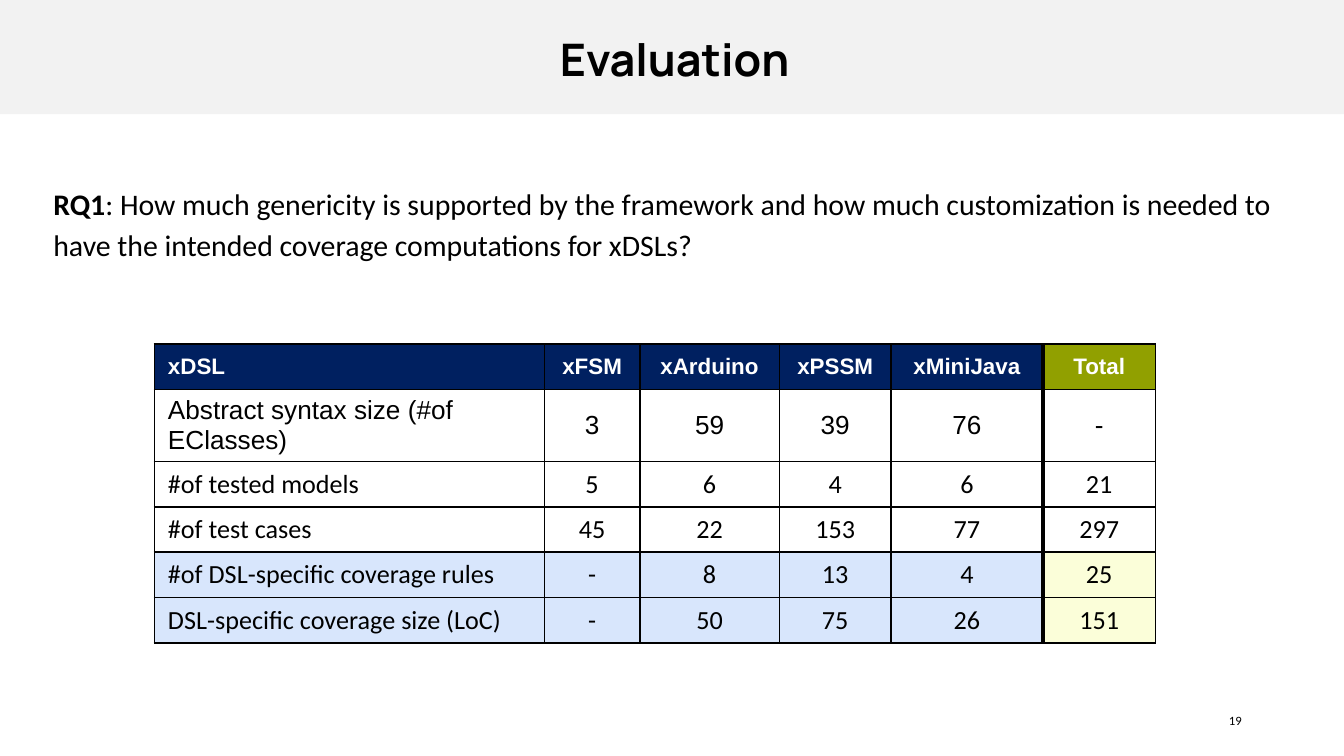
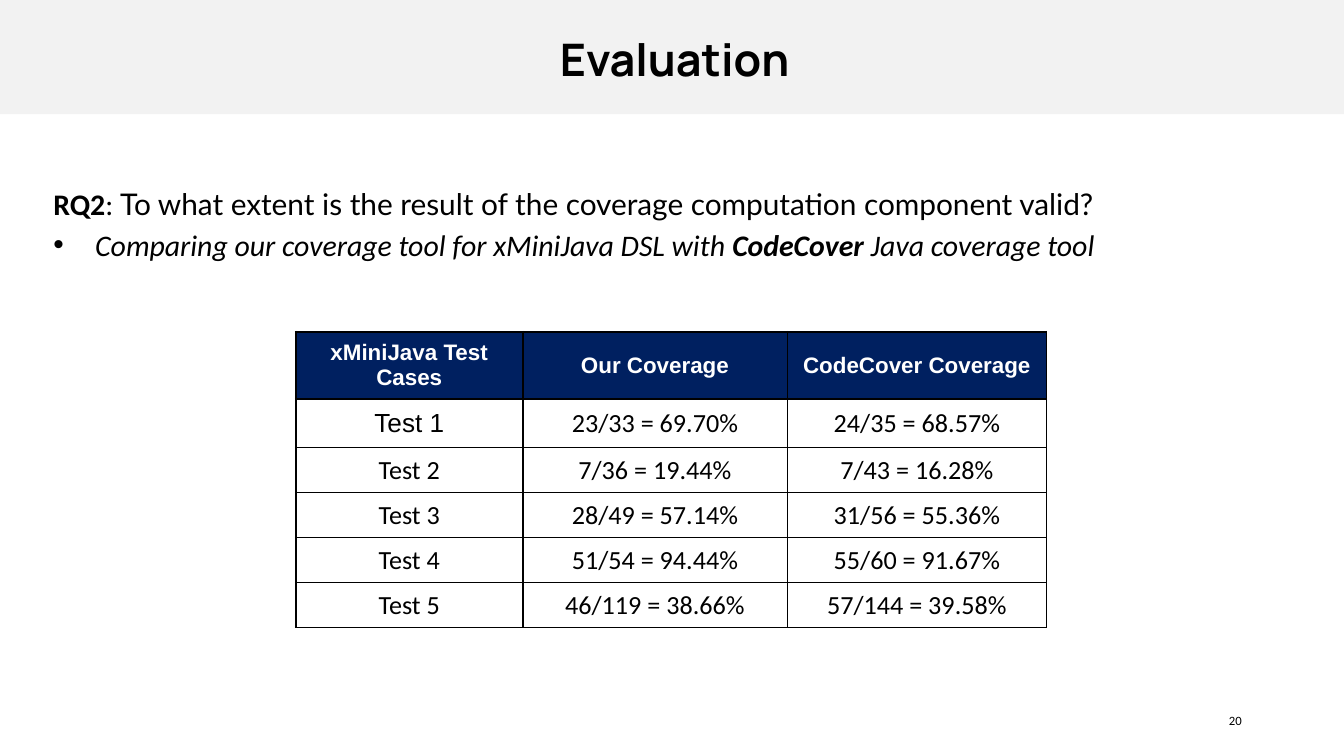
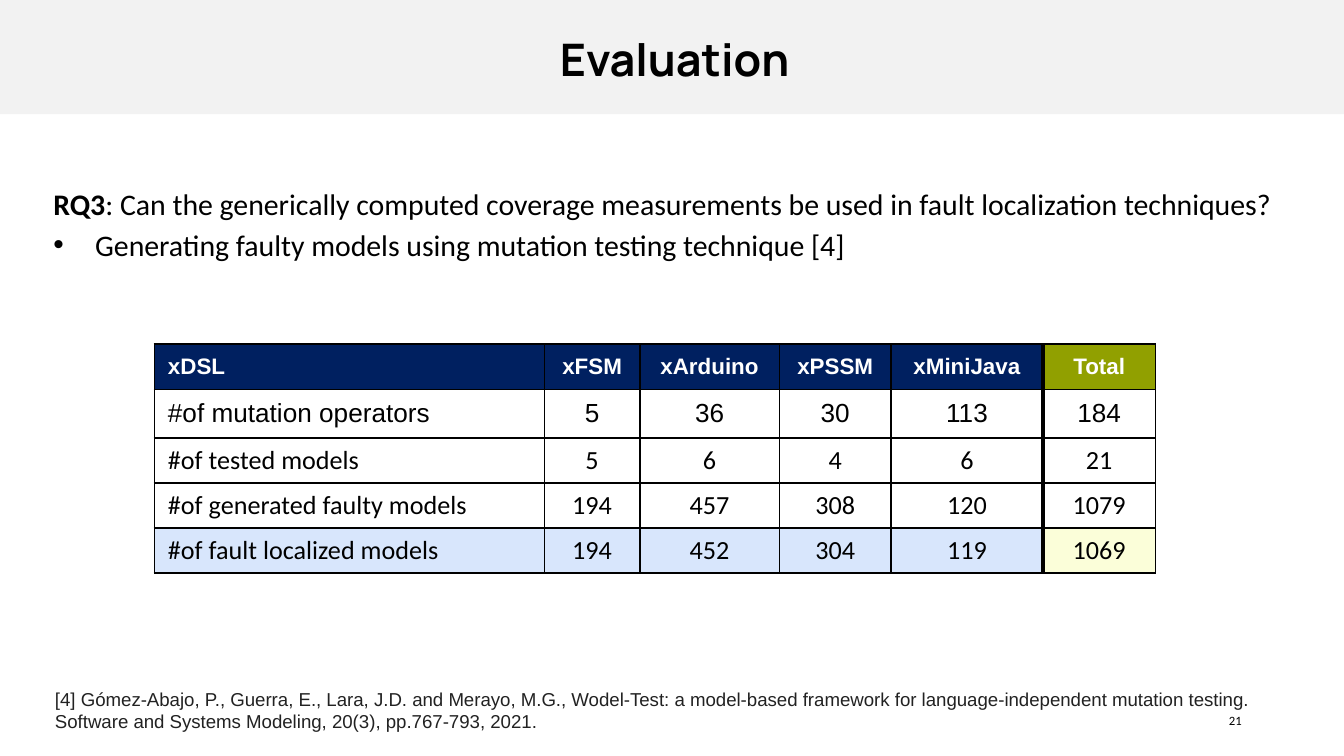
import pptx
import pptx.util
import pptx.dml.color
import pptx.enum.shapes
import pptx.enum.text
import pptx.oxml
import pptx.oxml.ns

Cm = pptx.util.Cm
Pt = pptx.util.Pt
ALIGN = pptx.enum.text.PP_ALIGN
MID = pptx.enum.text.MSO_ANCHOR.MIDDLE
TOP = pptx.enum.text.MSO_ANCHOR.TOP

HEX = {
    "black": "000000", "white": "FFFFFF", "band": "F2F2F2", "navy": "002060",
    "olive": "91A000", "sky": "D8E6FC", "cream": "FBFED9", "ink": "222222",
}
BOLD = {"bold": True}
ITAL = {"italic": True}
TIGHT = (0.18, 0.1)
LOOSE = (0.25, 0.25)

DSLS = ["xDSL", "xFSM", "xArduino", "xPSSM", "xMiniJava", "Total"]
WIDE = {"left": 2.92, "top": 6.5, "cols": [7.37, 1.8, 2.64, 2.11, 2.87, 2.13],
        "total": True, "tint": "sky", "arial": 6}
SMALL = {"left": 5.59, "top": 6.27, "cols": [4.29, 5, 4.9],
         "total": False, "tint": "white", "arial": 1}

SLIDES = [
    {
        "ask": [[("RQ1", BOLD), (": How much genericity is supported by the framework and how much "
                                 "customization is needed to have the intended coverage "
                                 "computations for xDSLs?", {})]],
        "grid": WIDE, "tinted": 2,
        "rows": [
            DSLS,
            ["Abstract syntax size (#of EClasses)", "3", "59", "39", "76", "-"],
            ["#of tested models", "5", "6", "4", "6", "21"],
            ["#of test cases", "45", "22", "153", "77", "297"],
            ["#of DSL-specific coverage rules", "-", "8", "13", "4", "25"],
            ["DSL-specific coverage size (LoC)", "-", "50", "75", "26", "151"],
        ],
    },
    {
        "ask": [
            [("RQ2", BOLD), (": ", {}),
             ("To what extent is the result of the coverage computation component valid?",
              {"name": "Lato"})],
            [("Comparing our coverage tool for xMiniJava DSL with ", ITAL),
             ("CodeCover", BOLD | ITAL), (" Java coverage tool", ITAL)],
        ],
        "grid": SMALL, "tinted": 2,
        "rows": [
            ["xMiniJava Test Cases", "Our Coverage", "CodeCover Coverage"],
            ["Test 1", "23/33 = 69.70%", "24/35 = 68.57%"],
            ["Test 2", "7/36 = 19.44%", "7/43 = 16.28%"],
            ["Test 3", "28/49 = 57.14%", "31/56 = 55.36%"],
            ["Test 4", "51/54 = 94.44%", "55/60 = 91.67%"],
            ["Test 5", "46/119 = 38.66%", "57/144 = 39.58%"],
        ],
    },
    {
        "ask": [
            [("RQ3", BOLD), (": Can the generically computed coverage measurements be used in "
                             "fault localization techniques?", {})],
            [("Generating faulty models using mutation testing technique [4]", {})],
        ],
        "grid": WIDE, "tinted": 1,
        "rows": [
            DSLS,
            ["#of mutation operators", "5", "36", "30", "113", "184"],
            ["#of tested models", "5", "6", "4", "6", "21"],
            ["#of generated faulty models", "194", "457", "308", "120", "1079"],
            ["#of fault localized models", "194", "452", "304", "119", "1069"],
        ],
        "cite": "[4] Gómez-Abajo, P., Guerra, E., Lara, J.D. and Merayo, M.G., Wodel-Test: "
                "a model-based framework for language-independent mutation testing. "
                "Software and Systems Modeling, 20(3), pp.767-793, 2021.",
    },
]


def rgb(key):
    return pptx.dml.color.RGBColor.from_string(HEX[key])


def style(para, face, size, color="black", bold=False, align=ALIGN.LEFT):
    para.alignment = align
    font = para.font
    font.name, font.size, font.bold = face, Pt(size), bold
    font.color.rgb = rgb(color)


def frame(slide, at, pad, anchor=TOP, grow=False):
    text = slide.shapes.add_textbox(*map(Cm, at)).text_frame
    text.word_wrap = True
    text.vertical_anchor = anchor
    text.margin_left = text.margin_right = Cm(pad[0])
    text.margin_top = text.margin_bottom = Cm(pad[1])
    fit = pptx.enum.text.MSO_AUTO_SIZE
    text.auto_size = fit.SHAPE_TO_FIT_TEXT if grow else fit.NONE
    return text


def label(slide, words, at, *look, anchor=TOP, grow=False, **more):
    para = frame(slide, at, TIGHT, anchor, grow).paragraphs[0]
    para.text = words
    style(para, *look, **more)
    return para


def child(node, tag, **attrs):
    item = pptx.oxml.parse_xml(f"<a:{tag} {pptx.oxml.ns.nsdecls('a')}/>")
    for key, value in attrs.items():
        item.set(key, str(value))
    node.append(item)
    return item


def bullet(para):
    props = para._p.get_or_add_pPr()
    props.set("marL", str(Cm(0.79)))
    props.set("indent", str(-Cm(0.79)))
    child(child(props, "buClr"), "srgbClr", val=HEX["black"])
    child(props, "buFont", typeface="Arial")
    child(props, "buChar", char="•")


def question(slide, paras):
    text = frame(slide, (0.76, 3.15, 23.88, 2.08), LOOSE, grow=True)
    for i, runs in enumerate(paras):
        para = text.add_paragraph() if i else text.paragraphs[0]
        if i:
            bullet(para)
        para.line_spacing = 1.15
        style(para, "Calibri", 16)
        for words, look in runs:
            run = para.add_run()
            run.text = words
            for key, value in look.items():
                setattr(run.font, key, value)


def border(cell, thick):
    props = cell._tc.get_or_add_tcPr()
    for side in "LRTB":
        line = child(props, "ln" + side, w=Pt(2.25 if side == thick else 1))
        child(child(line, "solidFill"), "srgbClr", val=HEX["black"])


def table(slide, grid, rows, tinted):
    cols = grid["cols"]
    highs = [0.86, 0.92] + [0.85] * (len(rows) - 2)
    tab = slide.shapes.add_table(len(rows), len(cols), Cm(grid["left"]), Cm(grid["top"]),
                                 Cm(sum(cols)), Cm(sum(highs))).table
    tab.horz_banding = False
    for col, wide in zip(tab.columns, cols):
        col.width = Cm(wide)
    for row, high in zip(tab.rows, highs):
        row.height = Cm(high)
    last = len(cols) - 1
    for r, row in enumerate(rows):
        for c, words in enumerate(row):
            cell = tab.cell(r, c)
            cell.vertical_anchor = MID
            total = grid["total"] and c == last
            border(cell, {last - 1: "R", last: "L"}.get(c) if grid["total"] else None)
            if r == 0:
                fill = "olive" if total else "navy"
            elif r >= len(rows) - tinted:
                fill = "cream" if total else grid["tint"]
            else:
                fill = None
            if fill:
                cell.fill.solid()
                cell.fill.fore_color.rgb = rgb(fill)
            else:
                cell.fill.background()
            para = cell.text_frame.paragraphs[0]
            para.text = words
            align = ALIGN.LEFT if grid["total"] and c == 0 else ALIGN.CENTER
            if r == 0:
                style(para, "Arial", 12, "white", True, align)
            else:
                face = "Arial" if r == 1 and c < grid["arial"] else "Calibri"
                style(para, face, 14, align=align)


def band(slide, wide):
    bar = slide.shapes.add_shape(pptx.enum.shapes.MSO_SHAPE.RECTANGLE, 0, 0, wide, Cm(2.16))
    bar.shadow.inherit = False
    bar.fill.solid()
    bar.fill.fore_color.rgb = rgb("band")
    bar.line.fill.background()


def main():
    deck = pptx.Presentation()
    deck.slide_width, deck.slide_height = Cm(25.4), Cm(14.29)
    for page, data in enumerate(SLIDES, 19):
        slide = deck.slides.add_slide(deck.slide_layouts[6])
        band(slide, deck.slide_width)
        label(slide, str(page), (17.93, 13.23, 5.72, 0.76), "Calibri", 6.8,
              anchor=MID, align=ALIGN.RIGHT)
        table(slide, data["grid"], data["rows"], data["tinted"])
        question(slide, data["ask"])
        if "cite" in data:
            label(slide, data["cite"], (0.86, 12.9, 23.5, 1.04), "Arial", 10, "ink", grow=True)
        title = label(slide, "Evaluation", (0.76, 0.15, 23.98, 2.03), "Manrope", 24,
                      bold=True, anchor=MID, align=ALIGN.CENTER)
        title.line_spacing = 0.9
    deck.save("out.pptx")


if __name__ == "__main__":
    main()
